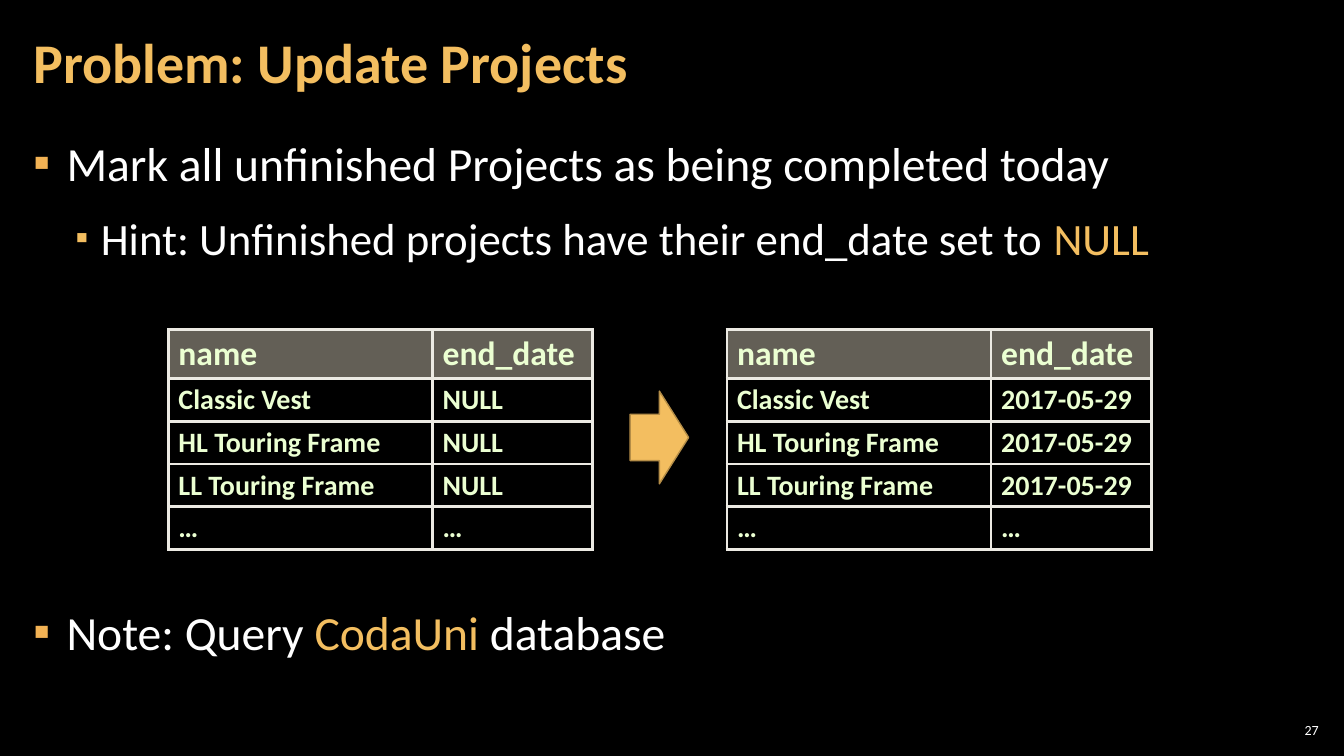
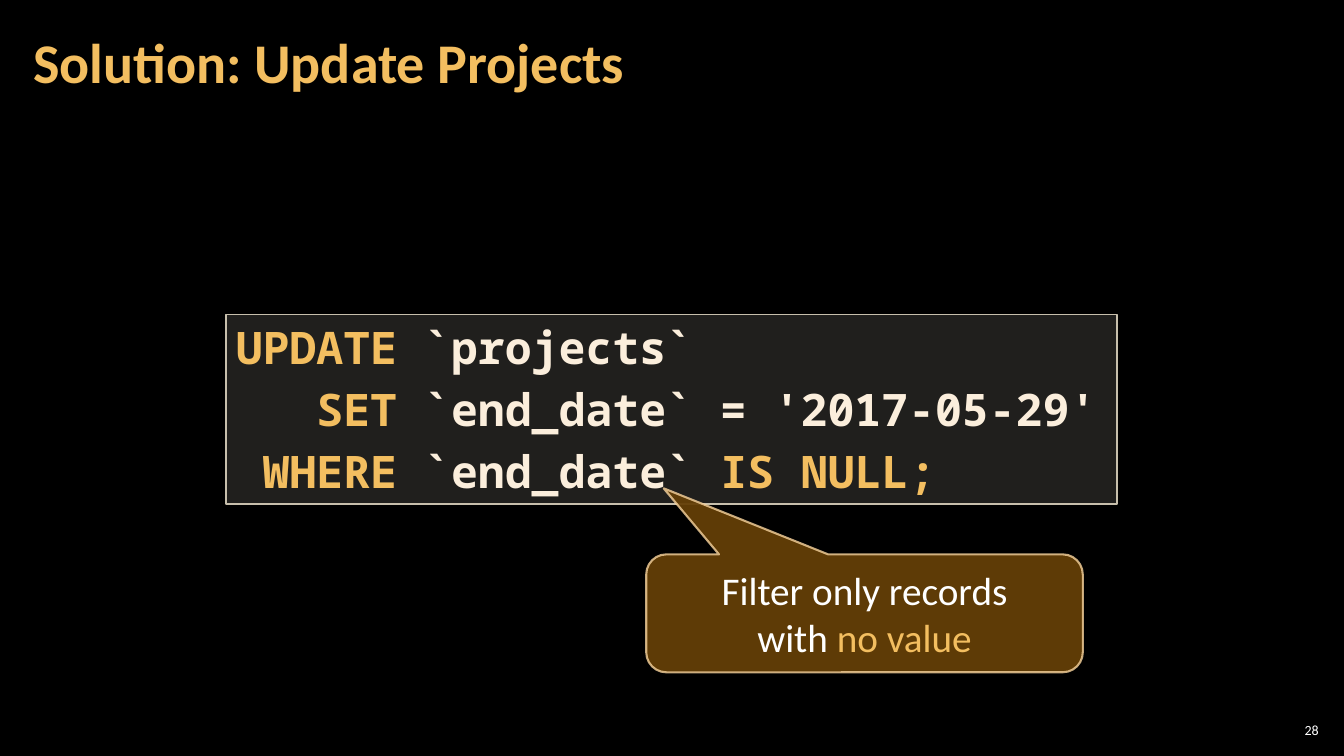
from lxml.etree import SubElement as Sub
from pptx import Presentation
from pptx.dml.color import RGBColor
from pptx.enum.shapes import MSO_SHAPE as Kind
from pptx.enum.text import MSO_ANCHOR as Anchor, MSO_AUTO_SIZE as Auto, PP_ALIGN as Align
from pptx.oxml.ns import qn
from pptx.util import Pt

PX = 9144
BLACK = RGBColor(0x00, 0x00, 0x00)
WHITE = RGBColor(0xFF, 0xFF, 0xFF)
GOLD = RGBColor(0xF3, 0xBE, 0x60)
AMBER = RGBColor(0xF2, 0xB2, 0x54)
OCHRE = RGBColor(0xB4, 0x8D, 0x47)
BROWN = RGBColor(0x64, 0x3F, 0x07)
SAND = RGBColor(0xF8, 0xD4, 0x9E)
CREAM = RGBColor(0xFB, 0xEE, 0xDC)
STONE = RGBColor(0xC7, 0xBF, 0xAC)
ASH = RGBColor(0xD9, 0xD5, 0xC7)
RULE = RGBColor(0xEC, 0xEA, 0xE3)
MINT = RGBColor(0xEB, 0xFF, 0xD2)
SANS = "Calibri"
MONO = "Noto Sans Mono"


def px(*sizes):
    return [size * PX for size in sizes]


def fade(root, where, share):
    tint = root.find(f".//{where}/{qn('a:solidFill')}/{qn('a:srgbClr')}")
    Sub(tint, qn("a:alpha"), val=str(share * 1000))


class Deck:
    def __init__(self):
        self.prs = Presentation()
        self.prs.slide_width, self.prs.slide_height = px(1333, 750)
        fill = self.prs.slide_master.background.fill
        fill.solid()
        fill.fore_color.rgb = BLACK

    def page(self, title, number):
        self.slide = self.prs.slides.add_slide(self.prs.slide_layouts[5])
        head = self.slide.shapes.title
        head.left, head.top, head.width, head.height = px(21, 4, 1047, 121)
        self.frame(head, (12, 4), Anchor.MIDDLE)
        para = head.text_frame.paragraphs[0]
        para.alignment = Align.LEFT
        para.line_spacing = 0.9
        self.runs(para, [(title, GOLD)], 40, bold=True)
        box = self.box((1265, 714, 47, 21), (4, 4), Anchor.MIDDLE)
        para = box.paragraphs[0]
        para.alignment = Align.RIGHT
        self.runs(para, [(str(number), WHITE)], 10)

    def frame(self, shape, pad=(10, 5), anchor=Anchor.TOP):
        frame = shape.text_frame
        frame.word_wrap = True
        frame.auto_size = Auto.NONE
        frame.vertical_anchor = anchor
        frame.margin_left = frame.margin_right = pad[0] * PX
        frame.margin_top = frame.margin_bottom = pad[1] * PX
        return frame

    def box(self, area, pad, anchor=Anchor.TOP):
        return self.frame(self.slide.shapes.add_textbox(*px(*area)), pad, anchor)

    def runs(self, para, parts, size, font=SANS, bold=False):
        for text, color in parts:
            run = para.add_run()
            run.text = text
            run.font.name = font
            run.font.size = Pt(size)
            run.font.bold = bold
            run.font.color.rgb = color

    def lines(self, frame, rows):
        for i, row in enumerate(rows):
            yield frame.add_paragraph() if i else frame.paragraphs[0], row

    def points(self, area, rows):
        frame = self.box(area, (12, 4))
        styles = [(33, 33, AMBER, 100, 34), (67, 25, GOLD, 80, 32)]
        for para, (level, gap, parts) in self.lines(frame, rows):
            left, hang, color, scale, size = styles[level]
            para.level = level
            para.line_spacing = 1.05
            para.space_before = Pt(gap)
            para.space_after = Pt(6)
            props = para._p.get_or_add_pPr()
            props.set("marL", str(left * PX))
            props.set("indent", str(-hang * PX))
            Sub(Sub(props, qn("a:buClr")), qn("a:srgbClr"), val=str(color))
            Sub(props, qn("a:buSzPct"), val=str(scale * 1000))
            Sub(props, qn("a:buFont"), typeface=SANS)
            Sub(props, qn("a:buChar"), char="▪")
            self.runs(para, parts, size)

    def table(self, left, top, wide, high, rows):
        area = px(left, top, sum(wide), sum(high))
        table = self.slide.shapes.add_table(len(rows), len(wide), *area).table
        table.horz_banding = False
        for col, size in zip(table.columns, wide):
            col.width = size * PX
        for i, row in enumerate(rows):
            table.rows[i].height = high[i] * PX
            for j, text in enumerate(row):
                self.cell(table.cell(i, j), text, i == 0)

    def cell(self, cell, text, head):
        props = cell._tc.get_or_add_tcPr()
        for side in "LRTB":
            edge = Sub(props, qn(f"a:ln{side}"), w=str(int(Pt(2.25))))
            Sub(Sub(edge, qn("a:solidFill")), qn("a:srgbClr"), val=str(RULE))
        if head:
            cell.fill.solid()
            cell.fill.fore_color.rgb = STONE
            fade(cell._tc, qn("a:tcPr"), 50)
        else:
            cell.fill.background()
        para = cell.text_frame.paragraphs[0]
        para.line_spacing = 0.95
        self.runs(para, [(text, MINT)], 24 if head else 20, bold=True)

    def shape(self, kind, area, fill, line, width):
        shape = self.slide.shapes.add_shape(kind, *px(*area))
        shape.shadow.inherit = False
        shape.fill.solid()
        shape.fill.fore_color.rgb = fill
        shape.line.color.rgb = line
        shape.line.width = Pt(width)
        return shape

    def code(self, area, rows):
        shape = self.shape(Kind.RECTANGLE, area, ASH, STONE, 1)
        fade(shape.element, qn("p:spPr"), 15)
        for para, parts in self.lines(self.frame(shape), rows):
            para.alignment = Align.LEFT
            para.space_before = Pt(6 if parts is not rows[0] else 0)
            self.runs(para, parts, 32, MONO, True)

    def note(self, area, tail, rows):
        shape = self.shape(Kind.ROUNDED_RECTANGULAR_CALLOUT, area, BROWN, SAND, 1.5)
        for i, value in enumerate(tail):
            shape.adjustments[i] = value
        fade(shape.element, qn("p:spPr"), 95)
        fade(shape.element, qn("a:ln"), 80)
        frame = self.frame(shape, anchor=Anchor.MIDDLE)
        for para, parts in self.lines(frame, rows):
            para.alignment = Align.CENTER
            self.runs(para, parts, 28)


def main():
    deck = Deck()
    deck.page("Problem: Update Projects", 27)
    deck.points((21, 126, 1291, 609), [
        (0, 0, [("Mark all unfinished Projects as being completed today", WHITE)]),
        (1, 6, [("Hint: Unfinished projects have their end_date set to ", WHITE),
                ("NULL", GOLD)]),
        (0, 234, [("Note: Query ", WHITE), ("CodaUni", GOLD), (" database", WHITE)]),
    ])
    names = ["Classic Vest", "HL Touring Frame", "LL Touring Frame"]
    for left, date in ((167, "NULL"), (721, "2017-05-29")):
        rows = [("name", "end_date"), *((name, date) for name in names), ("…", "…")]
        deck.table(left, 327, (262, 159), (48, 42, 42, 42, 42), rows)
    deck.shape(Kind.RIGHT_ARROW, (625, 388, 58, 92), GOLD, OCHRE, 1)

    deck.page("Solution: Update Projects", 28)
    deck.code((224, 312, 884, 188), [
        [("UPDATE ", GOLD), ("`projects`", CREAM)],
        [("   SET ", GOLD), ("`end_date` = '2017-05-29'", CREAM)],
        [(" WHERE ", GOLD), ("`end_date` ", CREAM), ("IS NULL;", GOLD)],
    ])
    deck.note((641, 550, 433, 117), (-0.46, -1.06, 0.17), [
        [("Filter only records", WHITE)],
        [("with ", WHITE), ("no value", GOLD)],
    ])
    deck.prs.save("out.pptx")


if __name__ == "__main__":
    main()
